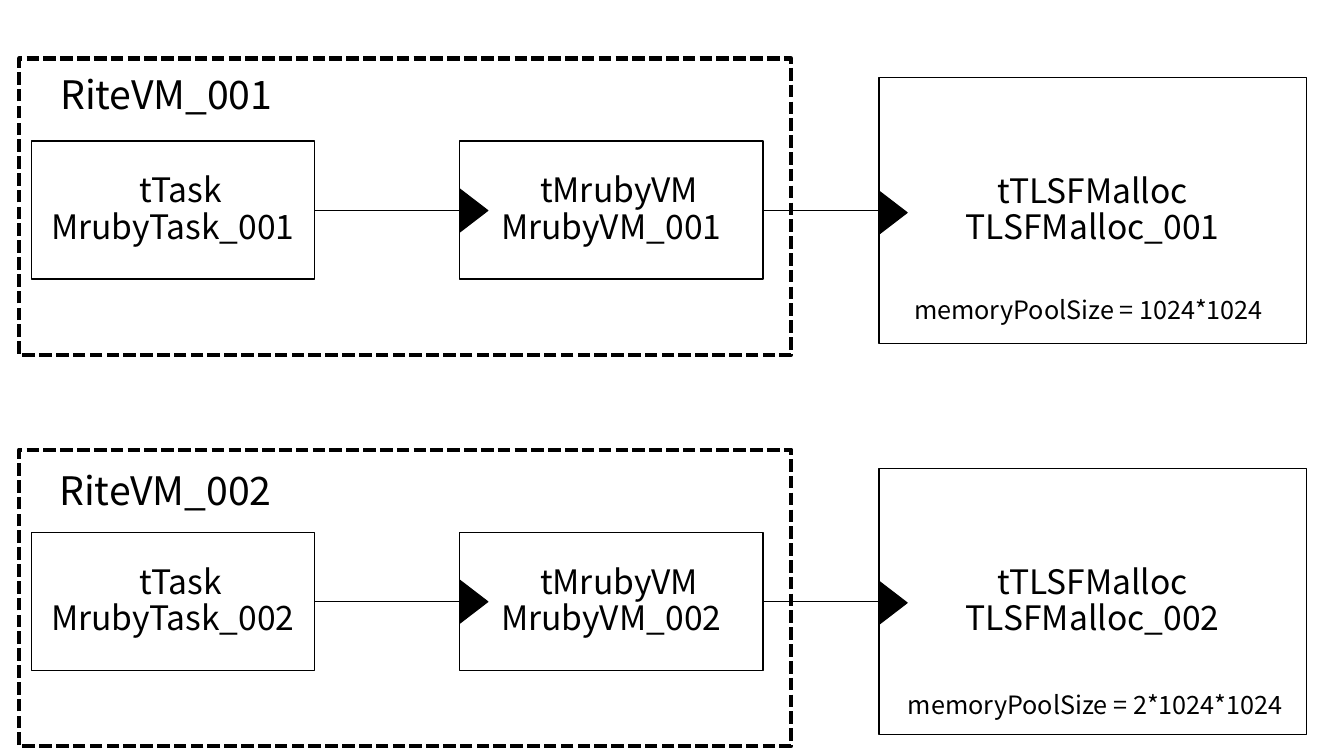
"""Two RiteVM instances, each linked to its own TLSF memory allocator."""
from pptx import Presentation
from pptx.dml.color import RGBColor
from pptx.enum.dml import MSO_LINE
from pptx.enum.shapes import MSO_CONNECTOR, MSO_SHAPE
from pptx.enum.text import MSO_ANCHOR, PP_ALIGN
from pptx.oxml.ns import qn
from pptx.util import Pt
from lxml.etree import SubElement

BLACK = RGBColor(0, 0, 0)
WHITE = RGBColor(255, 255, 255)
FONT = "Noto Sans CJK JP"

INSTANCES = [
    dict(number="001", top=41.8, title=(13.7, 39.6), port=151.9,
         pool="memoryPoolSize = 1024*1024", pool_box=(632.9, 208.8, 289.4)),
    dict(number="002", top=321.2, title=(13, 322.6), port=430.6,
         pool="memoryPoolSize = 2*1024*1024", pool_box=(626.4, 491, 311.8)),
]
CELLS = [
    ("tTask", "MrubyTask", 22.3, 59, 202.3, 98.6, 11),
    ("tMrubyVM", "MrubyVM", 328.3, 59, 216.7, 98.6, 11),
    ("tTLSFMalloc", "TLSFMalloc", 627.8, 13.6, 305.3, 190.1, 0),
]
FRAME_LEFT, FRAME_WIDTH, FRAME_HEIGHT = 13.7, 551.5, 211.7
TITLE_WIDTH, TITLE_HEIGHT, POOL_HEIGHT = 210.2, 54.7, 26.6
LINK_DROP = 108.6
PORT_BASE, PORT_DEPTH = 31, 20.2

deck = Presentation()
deck.slide_width, deck.slide_height = Pt(960), Pt(540)
slide = deck.slides.add_slide(deck.slide_layouts[6])


def add_outline(kind, left, top, width, height, weight, fill=None):
    outline = slide.shapes.add_shape(kind, Pt(left), Pt(top), Pt(width), Pt(height))
    outline.shadow.inherit = False
    outline.line.color.rgb = BLACK
    outline.line.width = Pt(weight)
    if fill is None:
        outline.fill.background()
    else:
        outline.fill.solid()
        outline.fill.fore_color.rgb = fill
    return outline


def write_line(paragraph, words, size, spacing=1.0, indent=0):
    paragraph.alignment = PP_ALIGN.CENTER
    paragraph.line_spacing = spacing
    if indent:
        paragraph._p.get_or_add_pPr().set("marL", str(Pt(indent)))
    run = paragraph.add_run()
    run.text = words
    run.font.size = Pt(size)
    run.font.name = FONT
    run.font.color.rgb = BLACK


def add_label(words, left, top, width, height, size, spacing, anchor, wrap):
    frame = slide.shapes.add_textbox(Pt(left), Pt(top), Pt(width), Pt(height)).text_frame
    frame.word_wrap = wrap
    frame.vertical_anchor = anchor
    write_line(frame.paragraphs[0], words, size, spacing)


def add_cell(kind, name, left, top, width, height, indent):
    frame = add_outline(MSO_SHAPE.RECTANGLE, left, top, width, height, 1, WHITE).text_frame
    frame.word_wrap = True
    frame.vertical_anchor = MSO_ANCHOR.MIDDLE
    write_line(frame.paragraphs[0], kind, 24, 0.9, indent)
    write_line(frame.add_paragraph(), name, 24, 0.9)


def add_link(start, end, y, port_y):
    link = slide.shapes.add_connector(MSO_CONNECTOR.STRAIGHT, Pt(start), Pt(y), Pt(end), Pt(y))
    link.line.color.rgb = BLACK
    link.line.width = Pt(0.75)
    SubElement(link._element.spPr, qn("a:effectLst"))
    port = add_outline(MSO_SHAPE.ISOSCELES_TRIANGLE, end + (PORT_DEPTH - PORT_BASE) / 2,
                       port_y - PORT_DEPTH / 2, PORT_BASE, PORT_DEPTH, 0.75, BLACK)
    port.rotation = 90


for instance in INSTANCES:
    top, number = instance["top"], instance["number"]
    boundary = add_outline(MSO_SHAPE.RECTANGLE, FRAME_LEFT, top, FRAME_WIDTH, FRAME_HEIGHT, 3)
    boundary.line.dash_style = MSO_LINE.SQUARE_DOT
    for kind, name, left, drop, width, height, indent in CELLS:
        add_cell(kind, f"{name}_{number}", left, top + drop, width, height, indent)
    link_y = top + LINK_DROP
    for source, target, port_y in zip(CELLS, CELLS[1:], (link_y, instance["port"])):
        add_link(source[2] + source[4], target[2], link_y, port_y)
    add_label(f"RiteVM_{number}", *instance["title"], TITLE_WIDTH, TITLE_HEIGHT,
              28, 1.0, MSO_ANCHOR.MIDDLE, True)
    add_label(instance["pool"], *instance["pool_box"], POOL_HEIGHT,
              18, 0.9, MSO_ANCHOR.TOP, False)

deck.save("out.pptx")
